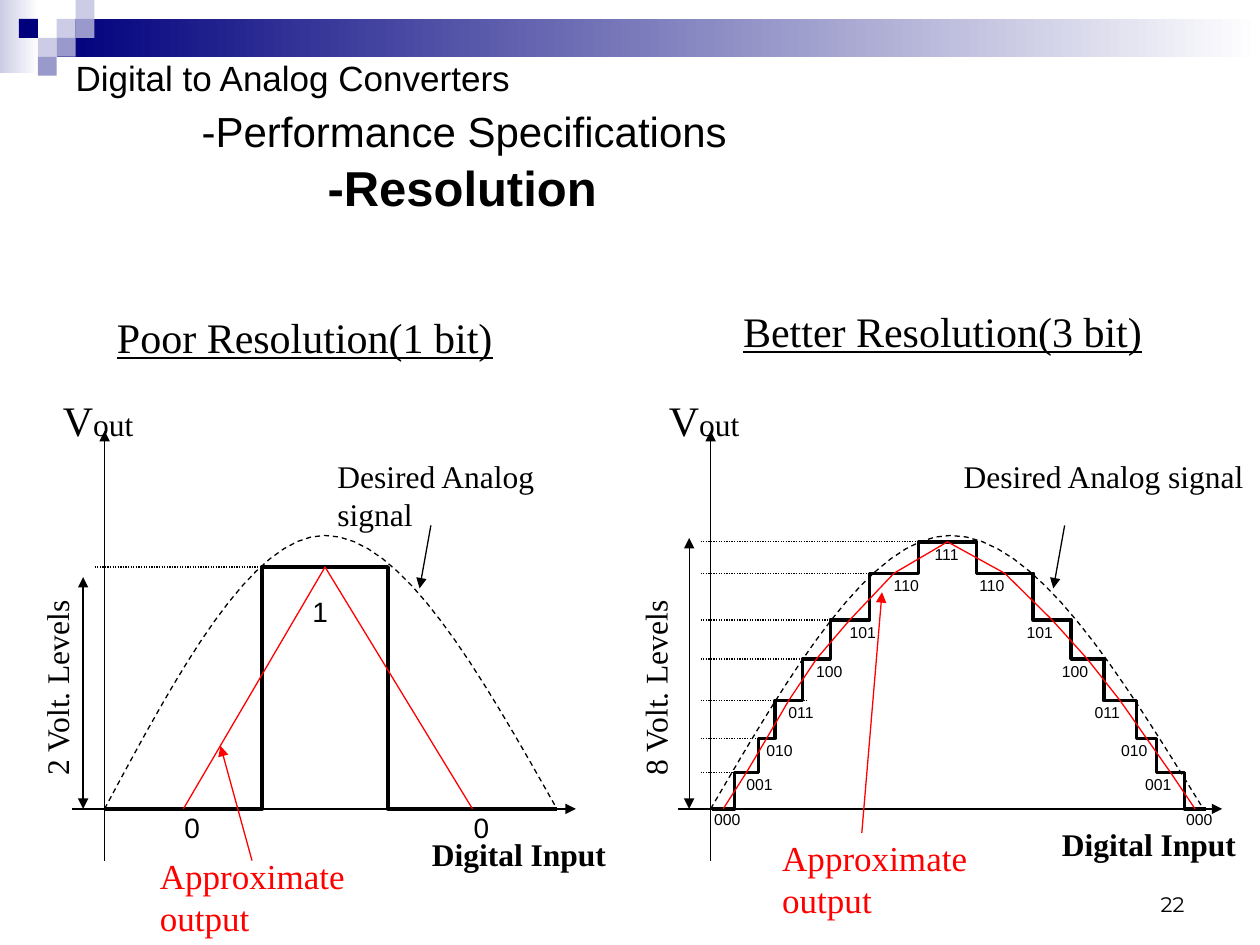
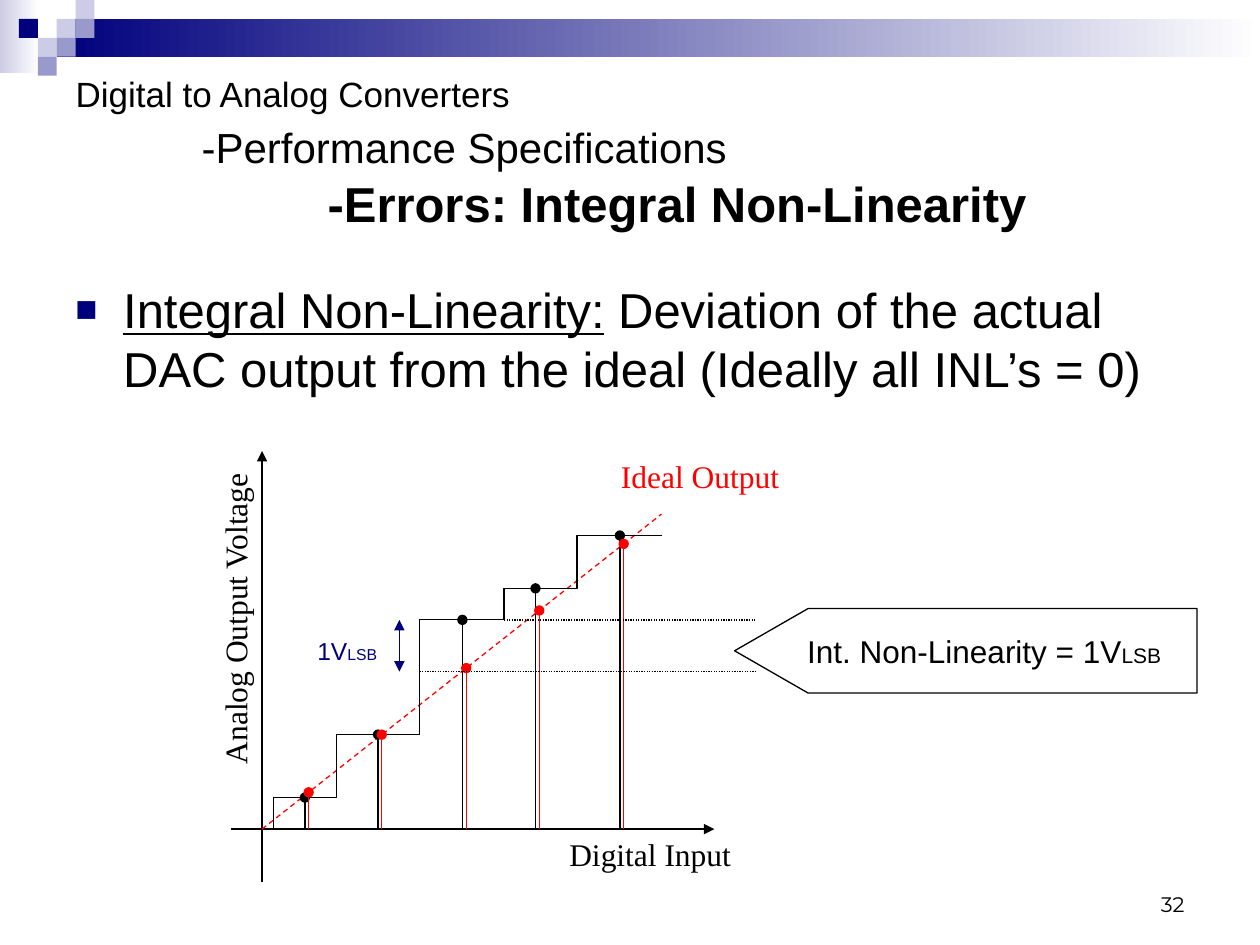
from itertools import pairwise

from lxml import etree
from pptx import Presentation
from pptx import util as u
from pptx.dml.color import RGBColor
from pptx.enum import dml, shapes, text
from pptx.oxml.ns import qn


class Theme:
    black, red, navy = "000000", "FF0000", "00007D"
    lilac, pale, white = "9999CC", "CCCCE6", "FFFFFF"
    sans, serif, digit = "Arial", "Times New Roman", "Montserrat"
    tiny, small, note, mark, label, sub, head, big = 9, 12, 14, 16, 18, 20, 24, 28
    thin, thick = 0.75, 2


T = Theme
DASH, DOT = dml.MSO_LINE.DASH, dml.MSO_LINE.ROUND_DOT
TIP = "triangle"

# Content: shared parts (lengths in inches)
FADES = [((0, 0, 0.31, 0.58), T.pale), ((0.45, 0.15, 9.55, 0.3), T.navy)]
TILE = 0.15
TILES = ["....p", ".n.pl", "..pl", "..l"]
TONES = {"p": T.pale, "n": T.navy, "l": T.lilac}
TOPIC = ["Digital to Analog Converters", "-Performance Specifications"]
SIZES = [T.sub, T.head, T.big]
GAPS = [0, 4, 1]

# Content: resolution slide, one dict per plot
BASE, PEAK = 6.42, 4.25
PLOTS = [
    dict(
        name="Poor Resolution(1 bit)", spot=(0.83, 2.42, 3.58), lead=1,
        start=0.83, end=4.42, volts="2 Volt. Levels", side=-0.8, top=4.58,
        want=(2.58, 3.58, 2.25), lines=2, want_tip=3.42,
        near=(1.17, 6.73, 2.08), near_tip=(2, 6.83, 1.75, 5.92),
        axis=(3.33, 6.58, 1.67),
        levels=[BASE, 4.5], edges=[0.83, 2.08, 3.08, 4.42], dots=[2.08],
        bits=1, size=T.mark, wide=0.75, foot=-0.09, drop=0.17,
    ),
    dict(
        name="Better Resolution(3 bit)", spot=(5.8, 2.42, 4.2), lead=0.9,
        start=5.64, end=9.55, volts="8 Volt. Levels", side=3.95, top=4.27,
        want=(7.55, 3.58, 2.45), lines=1, want_tip=8.45,
        near=(6.11, 6.59, 2.27), near_tip=(6.84, 6.61, 7, 4.7),
        axis=(8.33, 6.5, 1.83),
        levels=[BASE, 6.13, 5.86, 5.56, 5.23, 4.92, 4.55, 4.3],
        edges=[5.65, 5.83, 6.02, 6.15, 6.37, 6.59, 6.9, 7.29,
               7.75, 8.2, 8.5, 8.76, 9.02, 9.18, 9.4, 9.57],
        dots=[6.03, 6.17, 6.4, 6.6, 6.9, 7, 7.38],
        bits=3, size=T.tiny, wide=0.44, foot=-0.17, drop=-0.03,
    ),
]

# Content: non-linearity slide
TERM = "Integral Non-Linearity:"
MEANING = " Deviation of the actual DAC output from the ideal (Ideally all INL’s = 0)"
FLOOR = 6.58
IDEAL = (2.08, FLOOR, 5.25, 4.08)
EDGES = [2.17, 2.67, 3.33, 4, 4.58, 5.25]
DATA = [(2.42, 6.33), (3, 5.83), (3.67, 4.92), (4.25, 4.67), (4.92, 4.25)]


# Helpers
def inch(val):
    return u.Cm(val * 2.54)


def put(obj, **vals):
    for key, val in vals.items():
        setattr(obj, key, val)


def rgb(code):
    return RGBColor.from_string(code)


def ink(shape, color, width=T.thin, dash=None):
    shape.line.color.rgb = rgb(color)
    put(shape.line, width=u.Pt(width), dash_style=dash)


def add_run(para, words, size, font=T.serif, color=T.black, **style):
    run = para.add_run()
    run.text = words
    put(run.font, size=u.Pt(size), name=font, **style)
    run.font.color.rgb = rgb(color)


def write(slide, spot, words, size, turn=0, tail=None, lines=1, form=None, **style):
    """Text box as high as its lines; tail is a second run as (words, size)."""
    high = lines * size / 60 + 0.1
    shape = slide.shapes.add_textbox(*map(inch, (*spot, high)))
    shape.rotation = turn
    shape.text_frame.word_wrap = True
    para = shape.text_frame.paragraphs[0]
    put(para, **(form or {}))
    add_run(para, words, size, **style)
    if tail:
        add_run(para, *tail, **style)
    return para


def draw(slide, ends, color=T.black, dash=None, head=None, tail=None):
    link = slide.shapes.add_connector(shapes.MSO_CONNECTOR.STRAIGHT, *map(inch, ends))
    ink(link, color, dash=dash)
    props = link.element.spPr
    for tag, kind in (("a:headEnd", head), ("a:tailEnd", tail)):
        if kind:
            etree.SubElement(props.find(qn("a:ln")), qn(tag), type=kind)
    etree.SubElement(props, qn("a:effectLst"))


def trace(slide, points, color=T.black, width=T.thin, dash=None):
    pts = [(inch(x), inch(y)) for x, y in points]
    path = slide.shapes.build_freeform(*pts[0])
    path.add_line_segments(pts[1:], close=False)
    shape = path.convert_to_shape()
    shape.shadow.inherit = False
    shape.fill.background()
    ink(shape, color, width, dash)


def stairs(edges, levels):
    return [(x, y) for ends, y in zip(pairwise(edges), levels) for x in ends]


def arch(start, end, count=16):
    """Cubic rise to the peak, then the same fall."""
    mid = start + 0.487 * (end - start)
    for num in range(-count, count + 1):
        t = 1 - abs(num) / count
        x = mid + (end - mid if num > 0 else mid - start) * num / count
        yield x, BASE - (BASE - PEAK) * (3 * t - t ** 3) / 2


def block(slide, box, kind=shapes.MSO_SHAPE.RECTANGLE):
    shape = slide.shapes.add_shape(kind, *map(inch, box))
    shape.shadow.inherit = False
    return shape


def band(slide, layout):
    """Draw the header band once and keep it on the layout."""
    parts = []
    for box, color in FADES:
        part = block(slide, box)
        part.fill.gradient()
        part.fill.gradient_angle = 0
        for stop, tone in zip(part.fill.gradient_stops, (color, T.white)):
            stop.color.rgb = rgb(tone)
        parts.append(part)
    for row, keys in enumerate(TILES):
        for col, key in enumerate(keys):
            if key in TONES:
                part = block(slide, (col * TILE, row * TILE, TILE, TILE))
                part.fill.solid()
                part.fill.fore_color.rgb = rgb(TONES[key])
                parts.append(part)
    for num, part in enumerate(parts, 100):
        part.line.fill.background()
        part.element.nvSpPr.cNvPr.set("id", str(num))
        layout.element.cSld.spTree.append(part.element)


def start(deck, topic, top, height, page):
    slide = deck.slides.add_slide(deck.slide_layouts[5])
    title = slide.shapes.title
    put(title, left=inch(0.5), top=inch(top), width=inch(9), height=inch(height))
    frame = title.text_frame
    put(frame, auto_size=text.MSO_AUTO_SIZE.NONE, word_wrap=True,
        vertical_anchor=text.MSO_ANCHOR.MIDDLE)
    for num, words in enumerate([*TOPIC, topic]):
        para = frame.add_paragraph() if num else frame.paragraphs[0]
        put(para, alignment=text.PP_ALIGN.LEFT, space_before=u.Pt(GAPS[num]))
        para._p.get_or_add_pPr().set("marL", str(inch(num)))
        add_run(para, words, SIZES[num], T.sans, bold=num == 2)
    write(slide, (7.17, 7.03, 2.33), page, T.small, font=T.digit,
          form={"alignment": text.PP_ALIGN.RIGHT})
    return slide


# Slide parts
def plot(slide, p):
    left = p["start"]
    write(slide, p["spot"], p["name"], T.head, underline=True,
          form={"line_spacing": p["lead"]})
    # Axes and signal
    draw(slide, (left, 6.83, left, 3.42), tail=TIP)
    draw(slide, (left - 0.26, BASE, p["end"] + 0.15, BASE), tail=TIP)
    write(slide, (left - 0.43, 3.08, 0.9), "V", T.head, tail=("out", T.label))
    trace(slide, arch(left, p["end"]), dash=DASH)
    for x, y in zip(p["dots"], p["levels"][1:]):
        draw(slide, (left - 0.08, y, x, y), dash=DOT)
    # Steps rise to the top level and fall again
    top = len(p["levels"]) - 1
    ranks = [*range(top), *range(top, -1, -1)]
    rows = [p["levels"][rank] for rank in ranks]
    mids = [(a + b) / 2 for a, b in pairwise(p["edges"])]
    trace(slide, stairs(p["edges"], rows), width=T.thick)
    trace(slide, list(zip(mids, rows)), T.red)
    for num, (rank, x, y) in enumerate(zip(ranks, mids, rows)):
        side = (num > top) - (num < top)
        shift = -0.2 - side / 10 if rank else p["foot"]
        drop = p["drop"] if rank else -0.04
        write(slide, (x + shift, y + drop, p["wide"]), format(rank, f"0{p['bits']}b"),
              p["size"], font=T.sans)
    # Labels and arrows
    write(slide, p["want"], "Desired Analog signal", T.label, lines=p["lines"])
    draw(slide, (p["want_tip"], 4.17, p["want_tip"] - 0.09, 4.67), tail=TIP)
    write(slide, p["near"], "Approximate output", T.sub, lines=2, color=T.red)
    draw(slide, p["near_tip"], T.red, tail=TIP)
    draw(slide, (left - 0.17, p["top"], left - 0.17, BASE), head=TIP, tail=TIP)
    write(slide, (p["side"], 4.8, 2.5), p["volts"], T.label, turn=270)
    write(slide, p["axis"], "Digital Input", T.label, bold=True)


def define(slide):
    para = write(slide, (0.5, 2.17, 9), TERM, T.big, lines=2, font=T.sans,
                 underline=True)
    add_run(para, MEANING, T.big, T.sans)
    props = para._p.get_or_add_pPr()
    props.set("marL", str(inch(0.38)))
    props.set("indent", str(inch(-0.38)))
    tone = etree.SubElement(props, qn("a:buClr"))
    etree.SubElement(tone, qn("a:srgbClr"), val=T.navy)
    etree.SubElement(props, qn("a:buSzPct"), val="75000")
    etree.SubElement(props, qn("a:buFont"), typeface=T.sans)
    etree.SubElement(props, qn("a:buChar"), char="■")


def compare(slide):
    draw(slide, (2.08, 7, 2.08, 3.58), tail=TIP)
    draw(slide, (1.83, FLOOR, 5.67, FLOOR), tail=TIP)
    draw(slide, IDEAL, T.red, DASH)
    # Staircase, samples and their ideal values on the line
    trace(slide, [(EDGES[0], FLOOR), *stairs(EDGES, [y for _, y in DATA])])
    x1, y1, x2, y2 = IDEAL
    for x, y in DATA:
        draw(slide, (x, FLOOR, x, y), tail="oval")
        x += 0.03
        y = y1 + (x - x1) * (y2 - y1) / (x2 - x1)
        draw(slide, (x, FLOOR, x, y), T.red, tail="oval")
    # Labels and gap
    write(slide, (4.42, 6.58, 2), "Digital Input", T.label)
    write(slide, (4.83, 3.58, 2.08), "Ideal Output", T.label, color=T.red)
    write(slide, (0.49, 4.59, 2.75), "Analog Output Voltage", T.label, turn=270)
    draw(slide, (3.17, 5.33, 3.17, 4.92), T.navy, head=TIP, tail=TIP)
    write(slide, (2.42, 5, 0.83), "1V", T.note, tail=("LSB", T.tiny),
          font=T.sans, color=T.navy)
    for x, y in ((4, 4.92), (3.33, 5.33)):
        draw(slide, (x, y, 6, y), dash=DOT)
    # Callout points left, its text stays upright
    call = block(slide, (5.83, 4.83, 3.67, 0.67), shapes.MSO_SHAPE.PENTAGON)
    call.rotation = 180
    call.adjustments[0] = 0.87
    call.fill.background()
    ink(call, T.black)
    frame = call.text_frame
    put(frame, word_wrap=False, vertical_anchor=text.MSO_ANCHOR.MIDDLE)
    frame._txBody.bodyPr.set("rot", "10800000")
    para = frame.paragraphs[0]
    para.alignment = text.PP_ALIGN.CENTER
    add_run(para, "Int. Non-Linearity = 1V", T.label, T.sans)
    add_run(para, "LSB", T.small, T.sans)


def main():
    deck = Presentation()
    put(deck, slide_width=inch(10), slide_height=inch(7.5))
    first = start(deck, "-Resolution", 0.42, 1.33, "22")
    band(first, deck.slide_layouts[5])
    for part in PLOTS:
        plot(first, part)
    second = start(deck, "-Errors: Integral Non-Linearity", 0.67, 1.08, "32")
    define(second)
    compare(second)
    deck.save("out.pptx")


if __name__ == "__main__":
    main()
